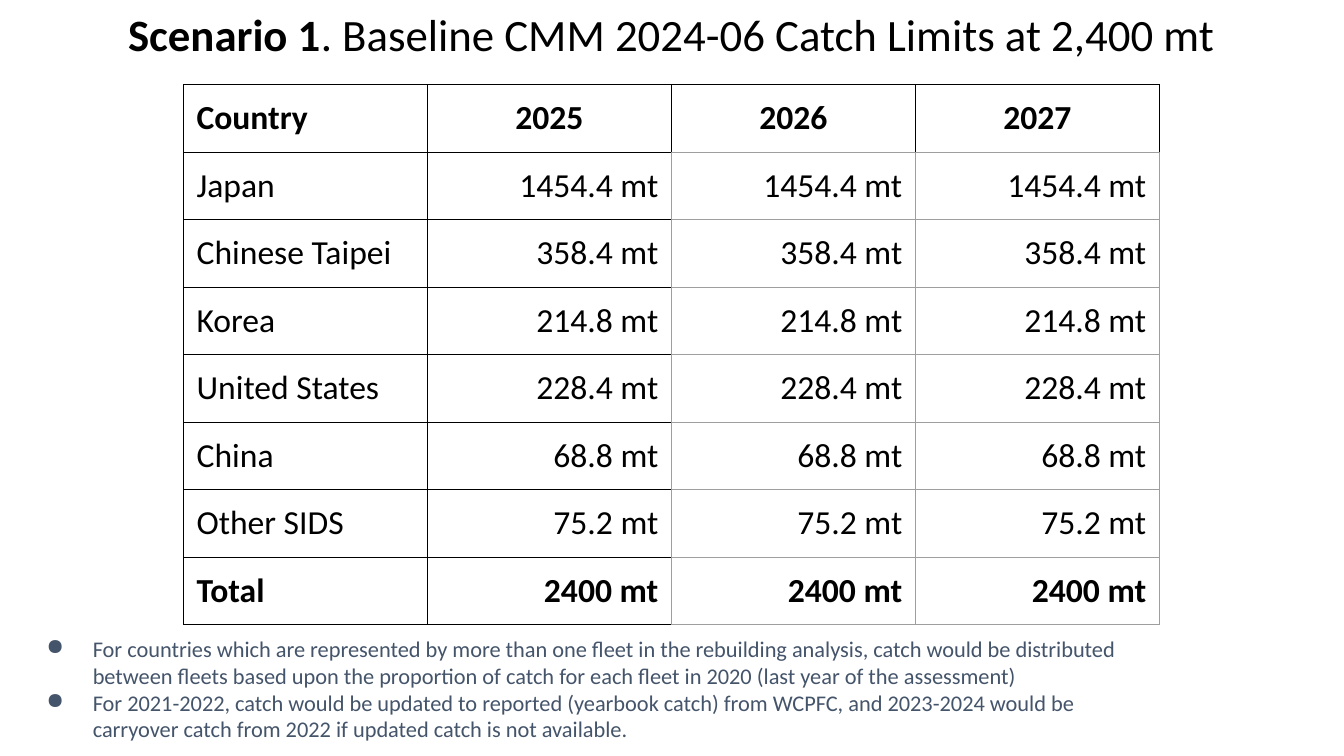
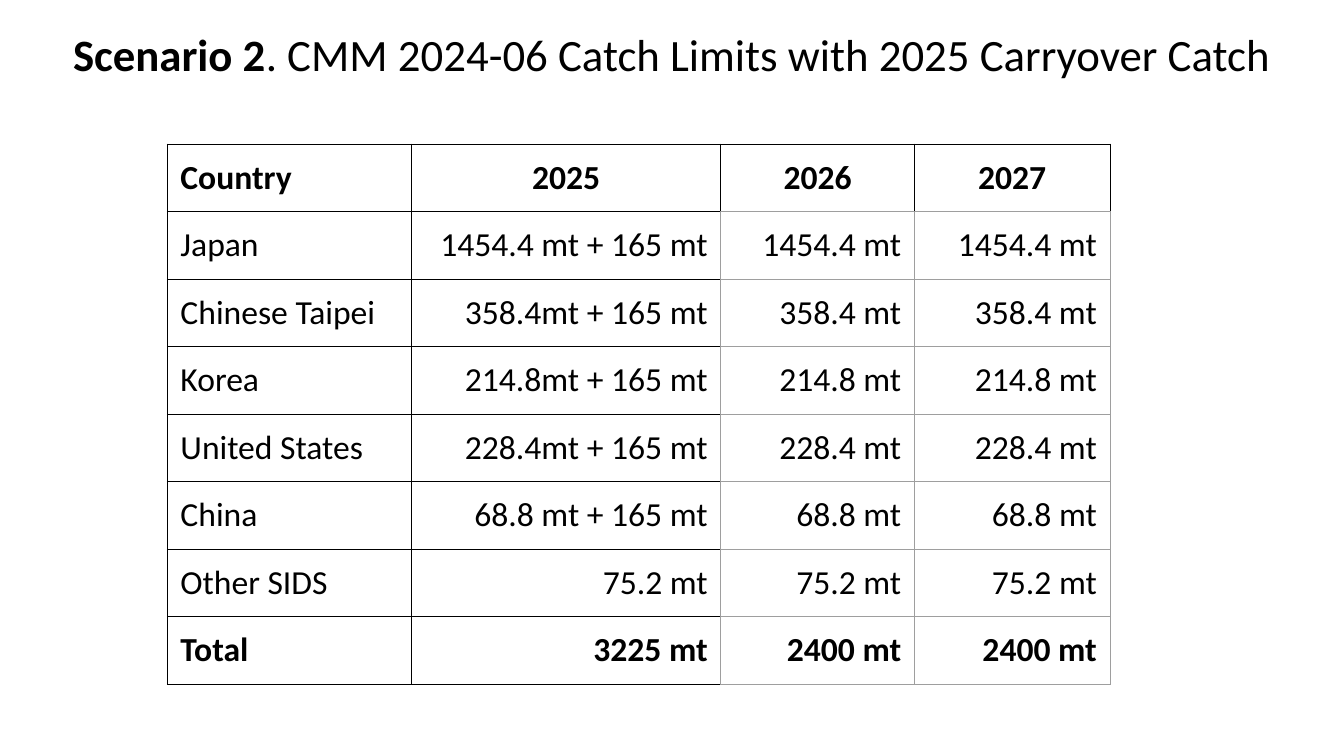
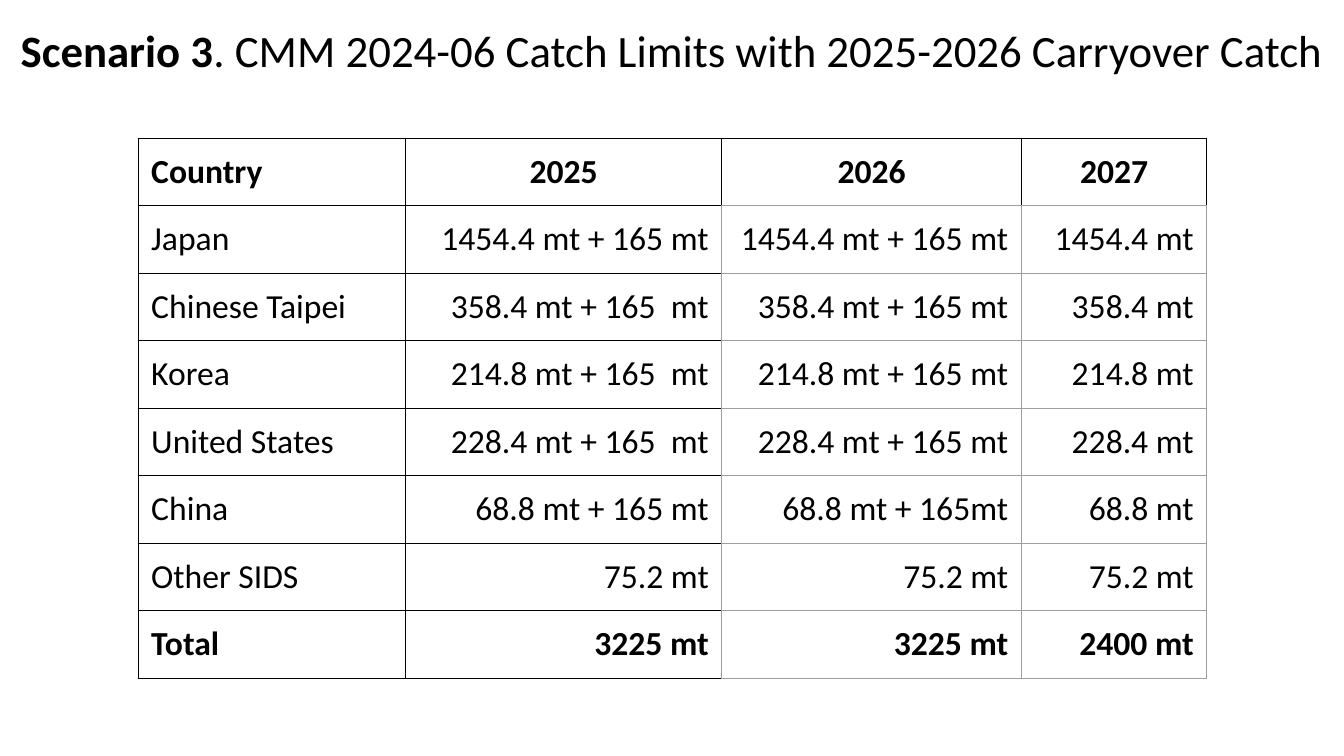
import pptx
import pptx.util
import pptx.dml.color
import pptx.enum.text
import pptx.oxml
import pptx.oxml.ns
from lxml import etree

Inches = pptx.util.Inches
Pt = pptx.util.Pt
ALIGN = pptx.enum.text.PP_ALIGN

# Table content
COUNTRIES = ["Japan", "Chinese Taipei", "Korea", "United States", "China", "Other SIDS", "Total"]
BASELINE = ["1454.4 mt", "358.4 mt", "214.8 mt", "228.4 mt", "68.8 mt", "75.2 mt", "2400 mt"]
CARRYOVER_2025 = ["1454.4 mt + 165 mt", "358.4mt + 165 mt", "214.8mt + 165 mt",
                  "228.4mt + 165 mt", "68.8 mt + 165 mt", "75.2 mt", "3225 mt"]
CARRYOVER_FIRST = ["1454.4 mt + 165 mt", "358.4 mt + 165  mt", "214.8 mt + 165  mt",
                   "228.4 mt + 165  mt", "68.8 mt + 165 mt", "75.2 mt", "3225 mt"]
CARRYOVER_SECOND = ["1454.4 mt + 165 mt", "358.4 mt + 165 mt", "214.8 mt + 165 mt",
                    "228.4 mt + 165 mt", "68.8 mt + 165mt", "75.2 mt", "3225 mt"]
FOOTNOTES = [
    "For countries which are represented by more than one fleet in the rebuilding analysis, "
    "catch would be distributed between fleets based upon the proportion of catch for each "
    "fleet in 2020 (last year of the assessment)",
    "For 2021-2022, catch would be updated to reported (yearbook catch) from WCPFC, and "
    "2023-2024 would be carryover catch from 2022 if updated catch is not available.",
]


class Deck:
    COLORS = {"text": "000000", "note": "44546A", "grid": "9E9E9E", "frame": "000000"}
    FONT = "Calibri"
    INSET = Inches(0.13)
    ROW_HEIGHT = Inches(0.67)
    BORDER = Pt(0.75)

    def __init__(self):
        self.presentation = pptx.Presentation()
        self.presentation.slide_width = Inches(13.33)
        self.presentation.slide_height = Inches(7.5)
        self.slide = None

    def add_slide(self):
        self.slide = self.presentation.slides.add_slide(self.presentation.slide_layouts[6])

    def style(self, font, size, bold=False, color="text"):
        font.name = self.FONT
        font.size = Pt(size)
        font.bold = bold
        font.color.rgb = pptx.dml.color.RGBColor.from_string(self.COLORS[color])

    def set_margins(self, target):
        target.margin_left = target.margin_right = self.INSET
        target.margin_top = target.margin_bottom = self.INSET

    def text_box(self, left, top, width, height):
        shape = self.slide.shapes.add_textbox(Inches(left), Inches(top), Inches(width), Inches(height))
        shape.text_frame.word_wrap = True
        self.set_margins(shape.text_frame)
        return shape.text_frame

    def title(self, label, rest, left, top, width):
        paragraph = self.text_box(left, top, width, 0.84).paragraphs[0]
        paragraph.alignment = ALIGN.CENTER
        paragraph.line_spacing = 0.9
        for text, bold in ((label, True), (rest, False)):
            run = paragraph.add_run()
            run.text = text
            self.style(run.font, 32, bold)

    def bullets(self, texts, left, top, width, height):
        frame = self.text_box(left, top, width, height)
        frame.text = "\n".join(texts)
        for paragraph in frame.paragraphs:
            properties = paragraph._p.get_or_add_pPr()
            properties.set("marL", str(Inches(0.67)))
            properties.set("indent", str(Inches(-0.46)))
            color = etree.SubElement(properties, pptx.oxml.ns.qn("a:buClr"))
            etree.SubElement(color, pptx.oxml.ns.qn("a:srgbClr"), val=self.COLORS["note"])
            etree.SubElement(properties, pptx.oxml.ns.qn("a:buChar"), char="●")
            for run in paragraph.runs:
                self.style(run.font, 16, color="note")

    def borders(self, cell, row, column):
        """Header and first two columns are framed in black, the year grid in grey."""
        properties = cell._tc.get_or_add_tcPr()
        for index, side in enumerate("LRTB"):
            if row == 0:
                framed = not (side == "B" and column >= 2)
            else:
                framed = column == 0 or (column == 1 and side != "R")
            color = self.COLORS["frame" if framed else "grid"]
            properties.insert(index, pptx.oxml.parse_xml(
                f'<a:ln{side} {pptx.oxml.ns.nsdecls("a")} w="{self.BORDER}">'
                f'<a:solidFill><a:srgbClr val="{color}"/></a:solidFill></a:ln{side}>'))

    def catch_table(self, left, top, widths, years):
        rows = [("Country", "2025", "2026", "2027"), *zip(COUNTRIES, *years)]
        table = self.slide.shapes.add_table(
            len(rows), len(widths), Inches(left), Inches(top),
            Inches(sum(widths)), self.ROW_HEIGHT * len(rows)).table
        table.first_row = table.horz_banding = False
        for column, width in zip(table.columns, widths):
            column.width = Inches(width)
        for row, texts in enumerate(rows):
            table.rows[row].height = self.ROW_HEIGHT
            for column, text in enumerate(texts):
                cell = table.cell(row, column)
                cell.fill.background()
                self.set_margins(cell)
                self.borders(cell, row, column)
                paragraph = cell.text_frame.paragraphs[0]
                paragraph.text = text
                if column:
                    paragraph.alignment = ALIGN.RIGHT if row else ALIGN.CENTER
                self.style(paragraph.runs[0].font, 24, bold=row in (0, len(rows) - 1))


def main():
    deck = Deck()

    # Scenario 1: baseline limits
    deck.add_slide()
    deck.title("Scenario 1", ". Baseline CMM 2024-06 Catch Limits at 2,400 mt", 0.45, 0, 12.42)
    deck.catch_table(1.82, 0.84, [2.42] * 4, [BASELINE] * 3)
    deck.bullets(FOOTNOTES, 0.12, 6.17, 11.39, 1.33)

    # Scenario 2: carryover in 2025
    deck.add_slide()
    deck.title("Scenario 2", ". CMM 2024-06 Catch Limits with 2025 Carryover Catch", 0, 0.2, 13.33)
    deck.catch_table(1.66, 1.43, [2.42, 3.07, 1.92, 1.94], [CARRYOVER_2025, BASELINE, BASELINE])

    # Scenario 3: carryover in 2025 and 2026
    deck.add_slide()
    deck.title("Scenario 3", ". CMM 2024-06 Catch Limits with 2025-2026 Carryover Catch", 0, 0.16, 13.33)
    deck.catch_table(1.37, 1.37, [2.65, 3.14, 2.97, 1.84],
                     [CARRYOVER_FIRST, CARRYOVER_SECOND, BASELINE])

    deck.presentation.save("out.pptx")


if __name__ == "__main__":
    main()
